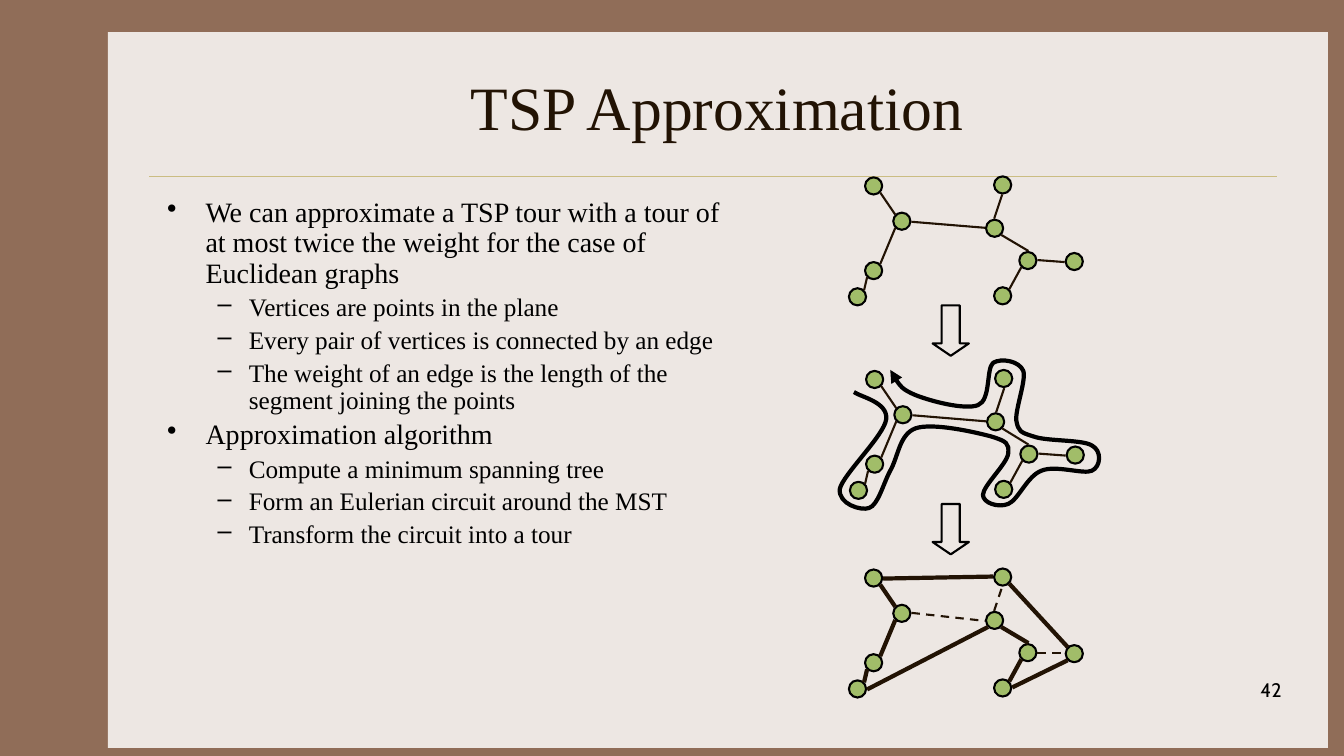
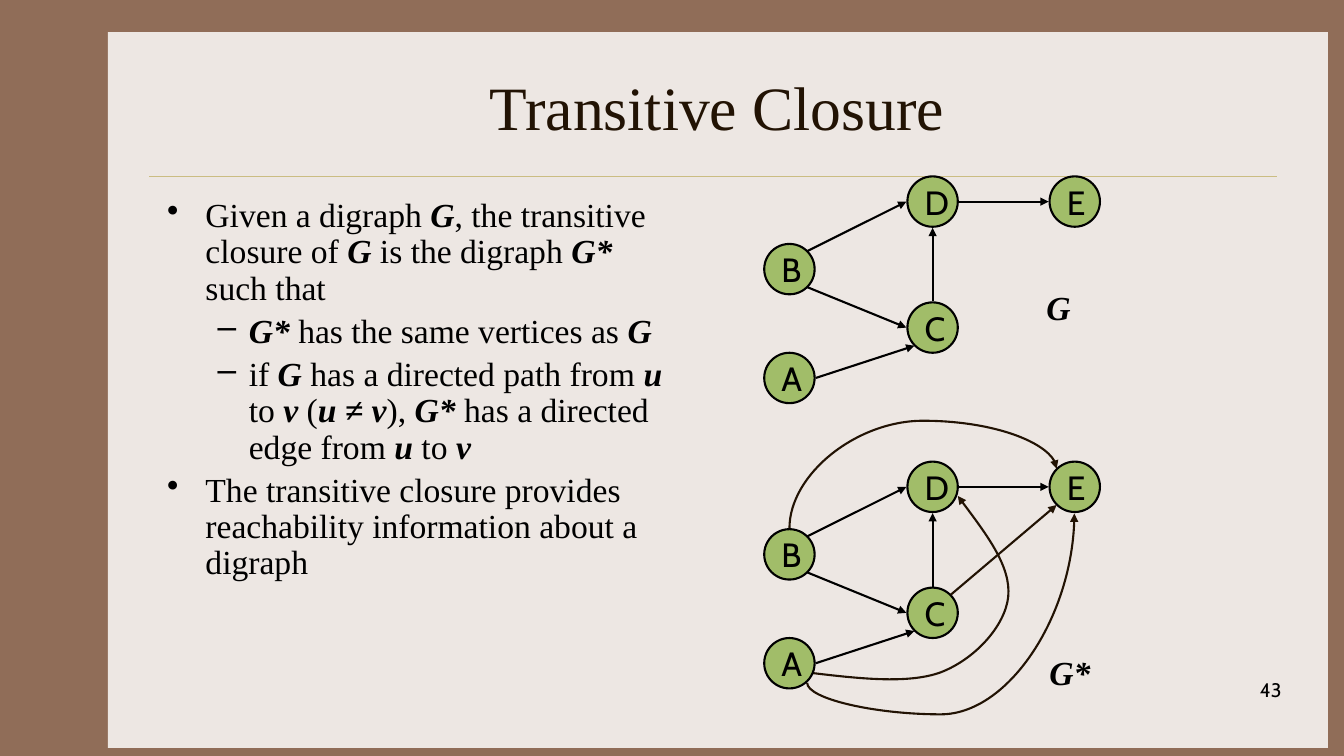
from dataclasses import dataclass
from math import sqrt

from lxml import etree
from pptx import Presentation
from pptx.dml.color import RGBColor
from pptx.enum.dml import MSO_LINE
from pptx.enum.shapes import MSO_CONNECTOR, MSO_SHAPE
from pptx.enum.text import MSO_ANCHOR, PP_ALIGN
from pptx.oxml.ns import qn
from pptx.util import Emu, Pt

PX = 9144
BROWN, PAPER, GOLD = "906D58", "EDE7E3", "CBBD83"
DARK, BLACK, GREEN = "221304", "000000", "A1BD69"
SERIF, SANS = "Times New Roman", "Cabin"
RECT, OVAL, DOWN_ARROW = MSO_SHAPE.RECTANGLE, MSO_SHAPE.OVAL, MSO_SHAPE.DOWN_ARROW
STRAIGHT, CURVED = MSO_CONNECTOR.STRAIGHT, MSO_CONNECTOR.CURVE
LEFT, CENTER, RIGHT = PP_ALIGN.LEFT, PP_ALIGN.CENTER, PP_ALIGN.RIGHT
TOP, MIDDLE = MSO_ANCHOR.TOP, MSO_ANCHOR.MIDDLE
DASH = MSO_LINE.DASH
DIAG = sqrt(0.5)
SITES = {
    "N": (0, -1), "S": (0, 1), "E": (1, 0), "W": (-1, 0),
    "NE": (DIAG, -DIAG), "SE": (DIAG, DIAG), "NW": (-DIAG, -DIAG), "SW": (-DIAG, DIAG),
}
Point = tuple[int, int]


@dataclass(frozen=True)
class Node:
    x: int
    y: int
    size: int
    label: str = ""

    def moved(self, dx: int, dy: int) -> "Node":
        return Node(self.x + dx, self.y + dy, self.size, self.label)

    def site(self, name: str) -> Point:
        ux, uy = SITES[name]
        half = self.size / 2
        reach = half + 1
        return round(self.x + half + reach * ux), round(self.y + half + reach * uy)


@dataclass(frozen=True)
class Edge:
    start: str
    start_site: str
    end: str
    end_site: str
    color: str = DARK
    width: float = 1.5
    dash: bool = False
    arrow: str = ""


@dataclass(frozen=True)
class Bullet:
    text: str
    level: int
    size: int


@dataclass(frozen=True)
class CurvedArrow:
    begin: Point
    end: Point
    rotation: int
    adjust: int


def rgb(color: str) -> RGBColor:
    return RGBColor.from_string(color)


def px(*values: int) -> list[Emu]:
    return [Emu(v * PX) for v in values]


def style_line(s, color: str, width: float, dash: bool = False, arrow: str = "") -> None:
    s.line.color.rgb = rgb(color)
    s.line.width = Pt(width)
    if dash:
        s.line.dash_style = DASH
    if arrow:
        ln = s._element.spPr.find(qn("a:ln"))
        etree.SubElement(ln, qn(f"a:{arrow}"), type="triangle")


def add_shape(slide, kind, box: tuple[int, int, int, int], fill: str = "", line: str = ""):
    sp = slide.shapes.add_shape(kind, *px(*box))
    sp.shadow.inherit = False
    if fill:
        sp.fill.solid()
        sp.fill.fore_color.rgb = rgb(fill)
    else:
        sp.fill.background()
    if line:
        style_line(sp, line, 1.5)
    else:
        sp.line.fill.background()
    return sp


def add_line(slide, begin: Point, end: Point, color: str, width: float = 1.5,
             dash: bool = False, arrow: str = "", kind=STRAIGHT):
    c = slide.shapes.add_connector(kind, *px(*begin, *end))
    style_line(c, color, width, dash, arrow)
    etree.SubElement(c._element.spPr, qn("a:effectLst"))
    return c


def add_curved_arrow(slide, arrow: CurvedArrow) -> None:
    c = add_line(slide, arrow.begin, arrow.end, DARK, arrow="tailEnd", kind=CURVED)
    sp_pr = c._element.spPr
    sp_pr.find(qn("a:xfrm")).set("rot", str(arrow.rotation * 60000))
    guides = sp_pr.find(qn("a:prstGeom")).find(qn("a:avLst"))
    etree.SubElement(guides, qn("a:gd"), name="adj1", fmla=f"val {arrow.adjust}")


def add_curve(slide, start: Point, segments: list[tuple[Point, Point, Point]],
              color: str, width: float, arrow: str) -> None:
    ends = [segment[-1] for segment in segments]
    builder = slide.shapes.build_freeform(*start, scale=PX)
    builder.add_line_segments(ends, close=False)
    sp = builder.convert_to_shape()
    left = min(x for x, _ in [start, *ends])
    top = min(y for _, y in [start, *ends])
    outline = next(sp._element.iter(qn("a:path")))
    for straight, segment in zip(outline.findall(qn("a:lnTo")), segments):
        bezier = etree.Element(qn("a:cubicBezTo"))
        for x, y in segment:
            etree.SubElement(bezier, qn("a:pt"), x=str(x - left), y=str(y - top))
        outline.replace(straight, bezier)
    sp.shadow.inherit = False
    sp.fill.background()
    style_line(sp, color, width, arrow=arrow)


def set_font(p, size: int, name: str, color: str, strong: bool = False) -> None:
    p.font.size = Pt(size)
    p.font.name = name
    p.font.color.rgb = rgb(color)
    if strong:
        p.font.bold = p.font.italic = True


def add_text(slide, box: tuple[int, int, int, int], text: str, size: int, name: str,
             color: str = BLACK, align=LEFT, anchor=TOP, strong: bool = False,
             wrap: bool = True) -> None:
    tf = slide.shapes.add_textbox(*px(*box)).text_frame
    tf.word_wrap = wrap
    tf.vertical_anchor = anchor
    p = tf.paragraphs[0]
    p.text = text
    p.alignment = align
    set_font(p, size, name, color, strong)


def add_bullets(slide, width: int, bullets: list[Bullet]) -> None:
    tf = slide.shapes.add_textbox(*px(156, 192, width, 450)).text_frame
    tf.word_wrap = True
    for i, bullet in enumerate(bullets):
        p = tf.add_paragraph() if i else tf.paragraphs[0]
        margin, hang, mark = ((38, 38, "•"), (81, 31, "–"))[bullet.level]
        p.level = bullet.level
        p_pr = p._p.get_or_add_pPr()
        p_pr.set("marL", str(margin * PX))
        p_pr.set("indent", str(-hang * PX))
        etree.SubElement(p_pr, qn("a:buChar"), char=mark)
        p.line_spacing = 0.9
        if i:
            p.space_before = Pt(round(bullet.size * 0.2))
        set_font(p, bullet.size, SERIF, BLACK)
        for j, part in enumerate(bullet.text.split("|")):
            if part:
                r = p.add_run()
                r.text = part
                if j % 2:
                    r.font.bold = r.font.italic = True


def add_graph(slide, nodes: dict[str, Node], edges: list[Edge], dx: int, dy: int) -> None:
    placed = {key: node.moved(dx, dy) for key, node in nodes.items()}
    for node in placed.values():
        sp = add_shape(slide, OVAL, (node.x, node.y, node.size, node.size), GREEN, BLACK)
        if node.label:
            tf = sp.text_frame
            tf.word_wrap = False
            tf.vertical_anchor = MIDDLE
            p = tf.paragraphs[0]
            p.text = node.label
            p.alignment = LEFT
            set_font(p, 24, SANS, BLACK)
    for e in edges:
        add_line(slide, placed[e.start].site(e.start_site), placed[e.end].site(e.end_site),
                 e.color, e.width, e.dash, e.arrow)


def add_slide(prs, title: str, number: int):
    slide = prs.slides.add_slide(prs.slide_layouts[6])
    add_shape(slide, RECT, (107, 32, 1210, 710), PAPER)
    add_line(slide, (148, 175), (1267, 175), GOLD, 0.25)
    add_text(slide, (156, 42, 1111, 125), title, 44, SERIF, DARK, CENTER, MIDDLE)
    add_text(slide, (1003, 668, 278, 50), str(number), 14, SANS, align=RIGHT)
    return slide


def build_tsp(prs) -> None:
    slide = add_slide(prs, "TSP Approximation", 42)
    add_bullets(slide, 579, [
        Bullet("We can approximate a TSP tour with a tour of at most twice the weight "
               "for the case of Euclidean graphs", 0, 20),
        Bullet("Vertices are points in the plane", 1, 18),
        Bullet("Every pair of vertices is connected by an edge", 1, 18),
        Bullet("The weight of an edge is the length of the segment joining the points", 1, 18),
        Bullet("Approximation algorithm", 0, 20),
        Bullet("Compute a minimum spanning tree", 1, 18),
        Bullet("Form an Eulerian circuit around the MST", 1, 18),
        Bullet("Transform the circuit into a tour", 1, 18),
    ])
    spots = [(858, 176), (886, 211), (858, 260), (842, 286), (978, 218),
             (986, 175), (986, 285), (1011, 250), (1057, 251)]
    nodes = {key: Node(x, y, 17) for key, (x, y) in zip("abcdefghi", spots)}
    kept = [("a", "SE", "b", "NW"), ("c", "NE", "b", "SW"), ("h", "N", "e", "SE"),
            ("d", "NE", "c", "SW"), ("g", "NE", "h", "SW")]
    dropped = [("b", "E", "e", "W"), ("e", "N", "f", "S"), ("h", "E", "i", "W")]
    shortcuts = [("d", "E", "e", "SW"), ("g", "E", "i", "SW"),
                 ("i", "NW", "f", "SE"), ("a", "E", "f", "W")]
    tree = [Edge(*ends) for ends in kept + dropped]
    tour = [Edge(*ends, width=3) for ends in kept + shortcuts]
    tour += [Edge(*ends, dash=True) for ends in dropped]
    for edges, dx, dy in ((tree, 0, 0), (tree, 1, 192), (tour, 0, 389)):
        add_graph(slide, nodes, edges, dx, dy)
    for top in (303, 500):
        sp = add_shape(slide, DOWN_ARROW, (925, top, 36, 50), line=BLACK)
        sp.adjustments[0], sp.adjustments[1] = 0.5, 0.34
    add_curve(slide, (883, 367), [
        ((888, 377), (894, 386), (908, 392)), ((923, 398), (957, 407), (970, 402)),
        ((983, 397), (978, 366), (985, 360)), ((993, 355), (1011, 358), (1015, 368)),
        ((1018, 377), (1007, 406), (1008, 417)), ((1010, 428), (1012, 429), (1025, 433)),
        ((1038, 438), (1074, 436), (1083, 442)), ((1093, 447), (1092, 463), (1083, 467)),
        ((1075, 471), (1047, 461), (1033, 467)), ((1019, 472), (1010, 496), (1000, 500)),
        ((990, 504), (975, 499), (975, 491)), ((975, 482), (999, 460), (1000, 450)),
        ((1001, 440), (999, 438), (983, 433)), ((968, 429), (925, 419), (908, 425)),
        ((892, 431), (891, 453), (883, 467)), ((876, 480), (871, 501), (862, 504)),
        ((854, 507), (831, 500), (833, 485)), ((836, 471), (877, 432), (879, 416)),
        ((881, 399), (854, 394), (847, 389)),
    ], BLACK, 3, "headEnd")


def build_closure(prs) -> None:
    slide = add_slide(prs, "Transitive Closure", 43)
    add_bullets(slide, 516, [
        Bullet("Given a digraph |G|, the transitive closure of |G| is the digraph |G*| such that",
               0, 24),
        Bullet("|G*| has the same vertices as |G", 1, 24),
        Bullet("if |G| has a directed path from |u| to |v |(|u ≠ v|), |G*| has a directed "
               "edge from |u| to |v", 1, 24),
        Bullet("The transitive closure provides reachability information about a digraph", 0, 24),
    ])
    add_curve(slide, (800, 667), [
        ((850, 673), (900, 679), (933, 667)), ((967, 654), (997, 621), (1000, 592)),
        ((1003, 562), (976, 527), (950, 492)),
    ], DARK, 1.5, "tailEnd")
    spots = {"B": (758, 242), "A": (758, 350), "D": (900, 175), "C": (900, 300), "E": (1041, 175)}
    nodes = {key: Node(x, y, 50, key) for key, (x, y) in spots.items()}
    direct = [Edge(*ends, color=BLACK, arrow="tailEnd") for ends in (
        ("B", "NE", "D", "W"), ("B", "SE", "C", "W"), ("D", "E", "E", "W"),
        ("C", "N", "D", "S"), ("A", "E", "C", "SW"))]
    implied = Edge("C", "NE", "E", "SW", arrow="tailEnd")
    add_graph(slide, nodes, direct, 0, 0)
    add_graph(slide, nodes, direct + [implied], 0, 283)
    for arrow in (CurvedArrow((886, 362), (945, 627), 270, 180700),
                  CurvedArrow((1017, 726), (849, 461), 90, -18600)):
        add_curved_arrow(slide, arrow)
    for box, text in (((1028, 280, 44, 50), "G"), ((1031, 642, 61, 50), "G*")):
        add_text(slide, box, text, 24, SERIF, strong=True, wrap=False)


def main() -> None:
    prs = Presentation()
    prs.slide_width, prs.slide_height = px(1333, 750)
    fill = prs.slide_master.background.fill
    fill.solid()
    fill.fore_color.rgb = rgb(BROWN)
    build_tsp(prs)
    build_closure(prs)
    prs.save("out.pptx")


if __name__ == "__main__":
    main()
